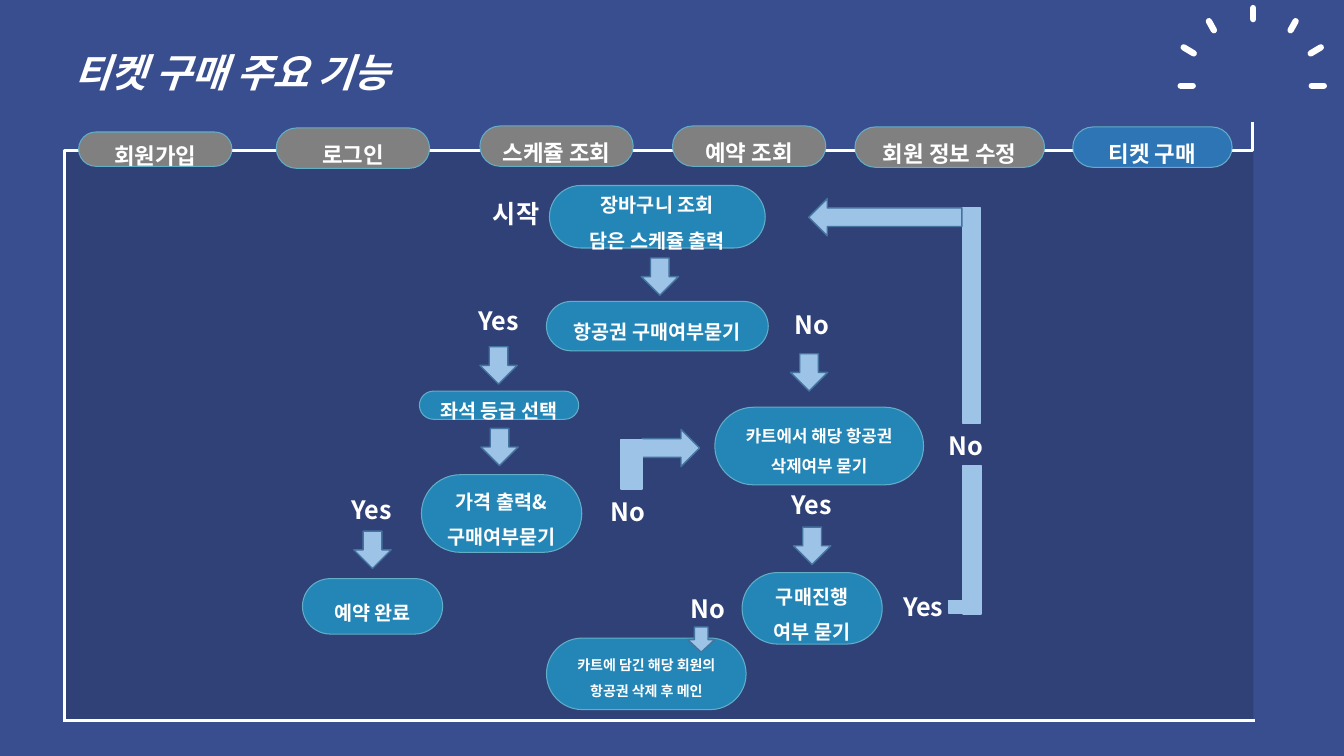
from lxml.etree import SubElement as Sub
from pptx import Presentation
from pptx.dml.color import RGBColor
from pptx.enum.shapes import MSO_CONNECTOR as Link, MSO_SHAPE as Kind
from pptx.enum.text import MSO_ANCHOR as Anchor, MSO_AUTO_SIZE as Fit, PP_ALIGN as Align
from pptx.oxml.ns import qn
from pptx.util import Pt

PX = 9144
FONT = "Noto Sans CJK KR"
WHITE = RGBColor(0xFF, 0xFF, 0xFF)
BACK = RGBColor(0x39, 0x4E, 0x8F)
PANEL = RGBColor(0x30, 0x41, 0x78)
STEP = RGBColor(0x24, 0x86, 0xB7)
RIM = RGBColor(0x62, 0xAE, 0xC6)
TAB = RGBColor(0x80, 0x80, 0x80)
LIVE = RGBColor(0x2E, 0x75, 0xB6)
ARROW = RGBColor(0x9D, 0xC3, 0xE6)
EDGE = RGBColor(0x43, 0x73, 0x9E)

TABS = [
    ("회원가입", 78, 131, 152, 34, TAB),
    ("로그인", 274, 127, 152, 40, TAB),
    ("스케쥴 조회", 476, 125, 152, 40, TAB),
    ("예약 조회", 667, 125, 152, 40, TAB),
    ("회원 정보 수정", 848, 126, 188, 40, TAB),
    ("티켓 구매", 1064, 126, 158, 40, LIVE),
]
STEPS = [
    (["장바구니 조회", "담은 스케쥴 출력"], 545, 184, 214, 62, 14),
    (["항공권 구매여부묻기"], 542, 299, 220, 49, 14),
    (["좌석 등급 선택"], 416, 388, 158, 28, 14),
    (["가격 출력&", "구매여부묻기"], 418, 471, 159, 77, 14),
    (["예약 완료"], 300, 574, 139, 55, 14),
    (["카트에서 해당 항공권 삭제여부 묻기"], 709, 404, 207, 77, 12),
    (["구매진행 여부 묻기"], 736, 568, 139, 71, 14),
    (["카트에 담긴 해당 회원의 항공권 삭제 후 메인"], 542, 633, 198, 71, 10),
]
DROPS = [(636, 256), (476, 344), (477, 425), (351, 527), (784, 351), (787, 523)]
BARS = [(616, 436, 21, 49), (955, 206, 17, 214), (955, 462, 18, 147), (941, 596, 26, 12)]
LABELS = [
    ("Yes", 465, 298), ("No", 778, 302), ("Yes", 339, 486), ("No", 596, 487),
    ("Yes", 775, 481), ("No", 931, 422), ("Yes", 886, 582), ("No", 675, 584),
    ("시작", 479, 192),
]
RAYS = [(1285, 21, 1280, 30), (1310, 47, 1300, 53), (1313, 85, 1301, 85)]
MID = 1242


def scale(*nums):
    return [num * PX for num in nums]


def write(para, text, size, slant=False):
    run = para.add_run()
    run.text = text
    font = run.font
    font.size = Pt(size)
    font.bold = True
    if slant:
        font.italic = True
    font.color.rgb = WHITE
    font.name = FONT
    Sub(font._element, qn("a:ea")).set("typeface", FONT)


def add_form(slide, kind, area, fill, line=None, width=1):
    shape = slide.shapes.add_shape(kind, *scale(*area))
    shape.shadow.inherit = False
    shape.fill.solid()
    shape.fill.fore_color.rgb = fill
    if line is None:
        shape.line.fill.background()
    else:
        shape.line.color.rgb = line
        shape.line.width = Pt(width)
    return shape


def add_pill(slide, lines, area, fill, size):
    shape = add_form(slide, Kind.ROUNDED_RECTANGLE, area, fill, RIM, 0.75)
    shape.adjustments[0] = 0.5
    frame = shape.text_frame
    frame.word_wrap = True
    frame.vertical_anchor = Anchor.MIDDLE
    for spot, text in enumerate(lines):
        para = frame.add_paragraph() if spot else frame.paragraphs[0]
        para.alignment = Align.CENTER
        para.line_spacing = 1.5
        write(para, text, size)


def add_arrow(slide, kind, area):
    add_form(slide, kind, area, ARROW, EDGE)


def add_label(slide, text, left, top):
    box = slide.shapes.add_textbox(*scale(left, top, 73, 40))
    box.text_frame.word_wrap = True
    write(box.text_frame.paragraphs[0], text, 18)


def add_line(slide, ends, width, kind=Link.STRAIGHT):
    line = slide.shapes.add_connector(kind, *scale(*ends))
    line.line.color.rgb = WHITE
    line.line.width = Pt(width)
    Sub(line._element.spPr, qn("a:effectLst"))
    return line


def add_frame(slide):
    add_form(slide, Kind.RECTANGLE, (64, 148, 1179, 568), PANEL)
    bent = add_line(slide, (1242, 121, 64, 716), 2, Link.ELBOW)
    geom = bent._element.spPr.find(qn("a:prstGeom"))
    geom.set("prst", "bentConnector4")
    guides = geom.find(qn("a:avLst"))
    for name, value in (("adj1", 0), ("adj2", 4700)):
        guide = Sub(guides, qn("a:gd"))
        guide.set("name", name)
        guide.set("fmla", f"val {value}")
    add_line(slide, (64, 715, 1245, 715), 2)


def add_ray(slide, ends):
    ray = add_line(slide, ends, 4.5)
    ray.line._get_or_add_ln().set("cap", "rnd")


def add_burst(slide):
    add_ray(slide, (MID + 1, 8, MID + 1, 19))
    for x, y, end, low in RAYS:
        add_ray(slide, (x, y, end, low))
        add_ray(slide, (2 * MID - x, y, 2 * MID - end, low))


def set_title(slide, text):
    title = slide.shapes.title
    title.left, title.top, title.width, title.height = scale(64, 20, 667, 72)
    frame = title.text_frame
    frame.auto_size = Fit.NONE
    frame.word_wrap = True
    frame.vertical_anchor = Anchor.TOP
    para = frame.paragraphs[0]
    para.alignment = Align.LEFT
    para.line_spacing = 1.5
    write(para, text, 28, True)


def main():
    deck = Presentation()
    deck.slide_width, deck.slide_height = scale(1333, 750)
    slide = deck.slides.add_slide(deck.slide_layouts[5])
    slide.background.fill.solid()
    slide.background.fill.fore_color.rgb = BACK
    set_title(slide, "티켓 구매 주요 기능")
    add_frame(slide)
    add_burst(slide)
    for text, *area, fill in TABS:
        add_pill(slide, [text], area, fill, 16)
    for lines, *area, size in STEPS:
        add_pill(slide, lines, area, STEP, size)
    for left, top in DROPS:
        add_arrow(slide, Kind.DOWN_ARROW, (left, top, 37, 37))
    add_arrow(slide, Kind.DOWN_ARROW, (682, 622, 27, 25))
    add_arrow(slide, Kind.RIGHT_ARROW, (637, 426, 57, 37))
    for area in BARS:
        add_form(slide, Kind.RECTANGLE, area, ARROW, ARROW)
    add_arrow(slide, Kind.LEFT_ARROW, (802, 197, 152, 37))
    for text, left, top in LABELS:
        add_label(slide, text, left, top)
    deck.save("out.pptx")


if __name__ == "__main__":
    main()
